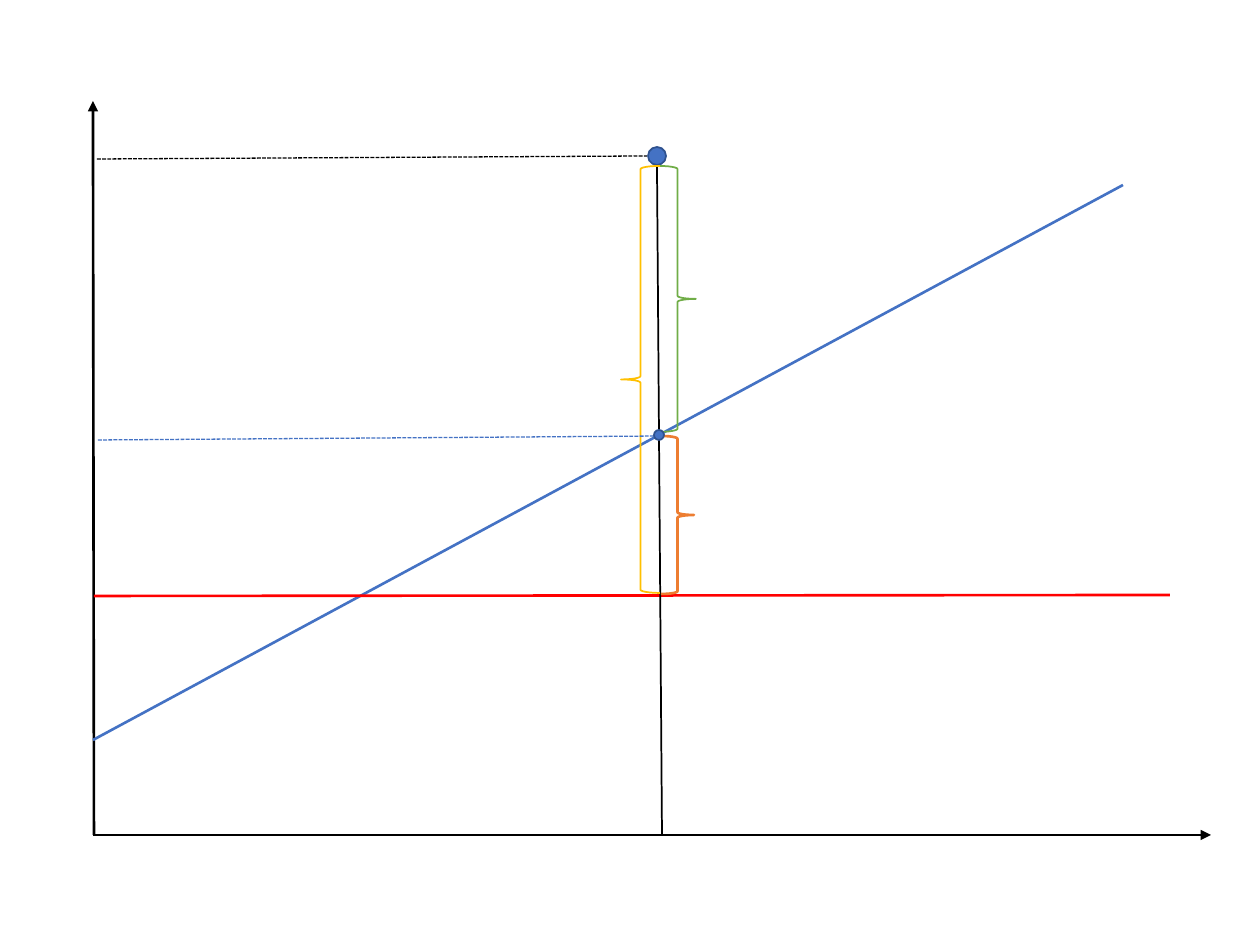
from typing import NamedTuple, Optional

from lxml.etree import SubElement
from pptx import Presentation
from pptx.dml.color import RGBColor
from pptx.enum.dml import MSO_LINE_DASH_STYLE as Dash
from pptx.enum.shapes import MSO_CONNECTOR_TYPE as Connector
from pptx.enum.shapes import MSO_SHAPE as Preset
from pptx.oxml.ns import qn
from pptx.util import Emu, Pt

PX_PER_INCH = 126
BLACK, RED, BLUE, NAVY = "000000", "FF0000", "4472C4", "2F528F"
GREEN, ORANGE, GOLD = "70AD47", "ED7D31", "FFC000"


class Segment(NamedTuple):
    x1: int
    y1: int
    x2: int
    y2: int
    color: str
    weight: float
    dashed: bool = False
    arrow: bool = False


class Mark(NamedTuple):
    preset: Preset
    left: int
    top: int
    width: int
    height: int
    color: str
    weight: float = 1
    fill: Optional[str] = None


def px(length: int) -> Emu:
    return Emu(round(length * 914400 / PX_PER_INCH))


def rgb(color: str) -> RGBColor:
    return RGBColor.from_string(color)


def draw_segment(shapes, segment: Segment) -> None:
    ends = (segment.x1, segment.y1, segment.x2, segment.y2)
    connector = shapes.add_connector(Connector.STRAIGHT, *map(px, ends))
    line = connector.line
    line.color.rgb = rgb(segment.color)
    line.width = Pt(segment.weight)
    if segment.dashed:
        line.dash_style = Dash.SQUARE_DOT
    if segment.arrow:
        SubElement(line._get_or_add_ln(), qn("a:tailEnd"), type="triangle")
    SubElement(connector._element.spPr, qn("a:effectLst"))


def draw_mark(shapes, mark: Mark) -> None:
    box = (mark.left, mark.top, mark.width, mark.height)
    shape = shapes.add_shape(mark.preset, *map(px, box))
    shape.shadow.inherit = False
    shape.line.color.rgb = rgb(mark.color)
    shape.line.width = Pt(mark.weight)
    if mark.fill:
        shape.fill.solid()
        shape.fill.fore_color.rgb = rgb(mark.fill)
    else:
        shape.fill.background()


# Back to front
DIAGRAM = [
    # Axes
    Segment(93, 835, 1211, 835, BLACK, 1.5, arrow=True),
    Segment(94, 835, 93, 101, BLACK, 1.5, arrow=True),
    # Regression line and mean line
    Segment(93, 740, 1123, 185, BLUE, 1.5),
    Segment(94, 596, 1170, 595, RED, 1.5),
    # Observed value with its guides
    Mark(Preset.OVAL, 648, 147, 18, 18, NAVY, fill=BLUE),
    Segment(97, 159, 647, 156, BLACK, 0.75, dashed=True),
    Segment(662, 835, 657, 166, BLACK, 1),
    # Residual, explained and total deviation
    Mark(Preset.RIGHT_BRACE, 659, 166, 37, 266, GREEN),
    Mark(Preset.RIGHT_BRACE, 661, 436, 33, 158, ORANGE, 1.5),
    Mark(Preset.LEFT_BRACE, 621, 166, 39, 427, GOLD),
    # Predicted value with its guide
    Segment(98, 440, 661, 436, BLUE, 0.75, dashed=True),
    Mark(Preset.OVAL, 654, 430, 10, 10, NAVY, fill=BLUE),
]


def main() -> None:
    deck = Presentation()
    deck.slide_width, deck.slide_height = px(1260), px(945)
    shapes = deck.slides.add_slide(deck.slide_layouts[6]).shapes
    for part in DIAGRAM:
        if isinstance(part, Segment):
            draw_segment(shapes, part)
        else:
            draw_mark(shapes, part)
    deck.save("out.pptx")


if __name__ == "__main__":
    main()
